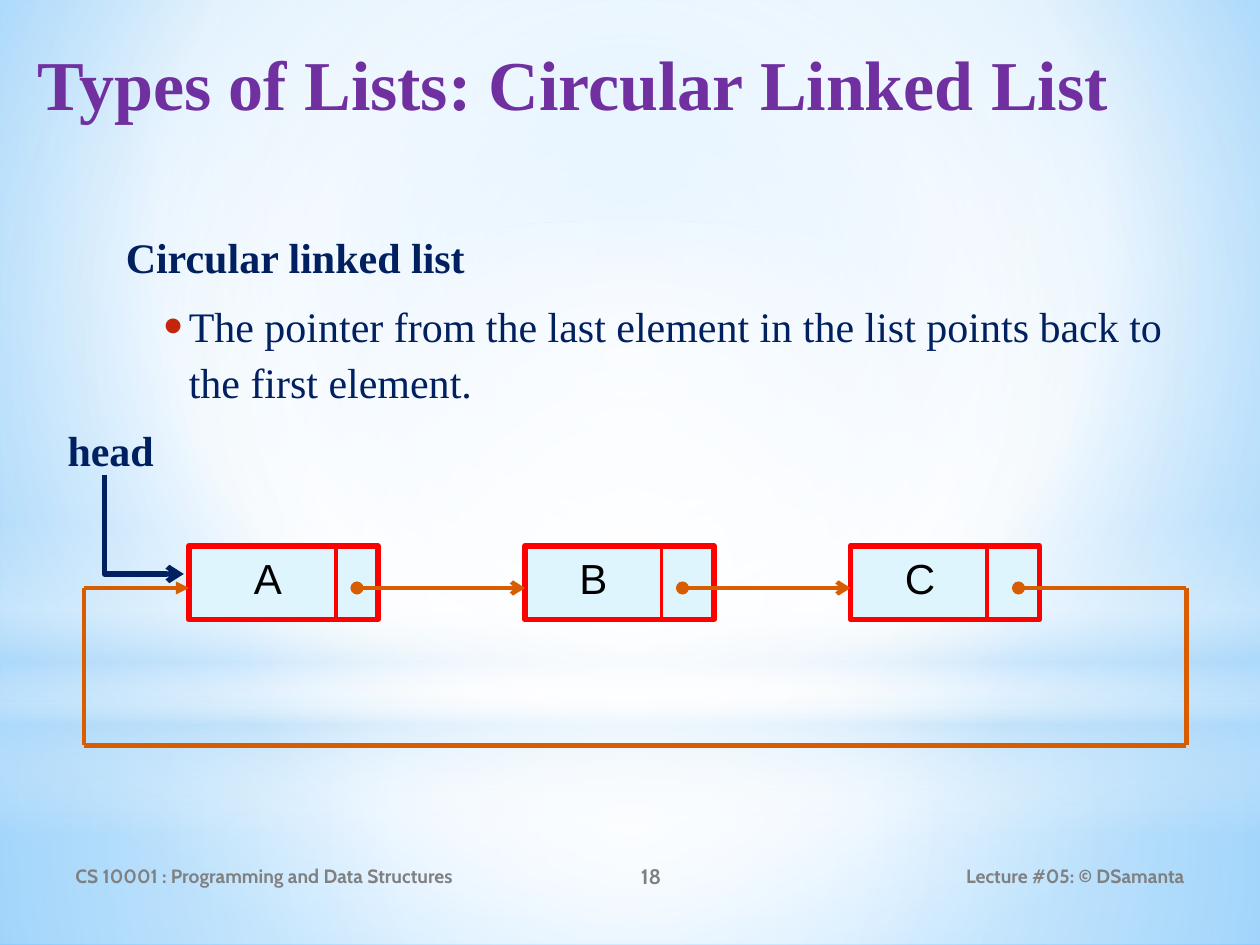
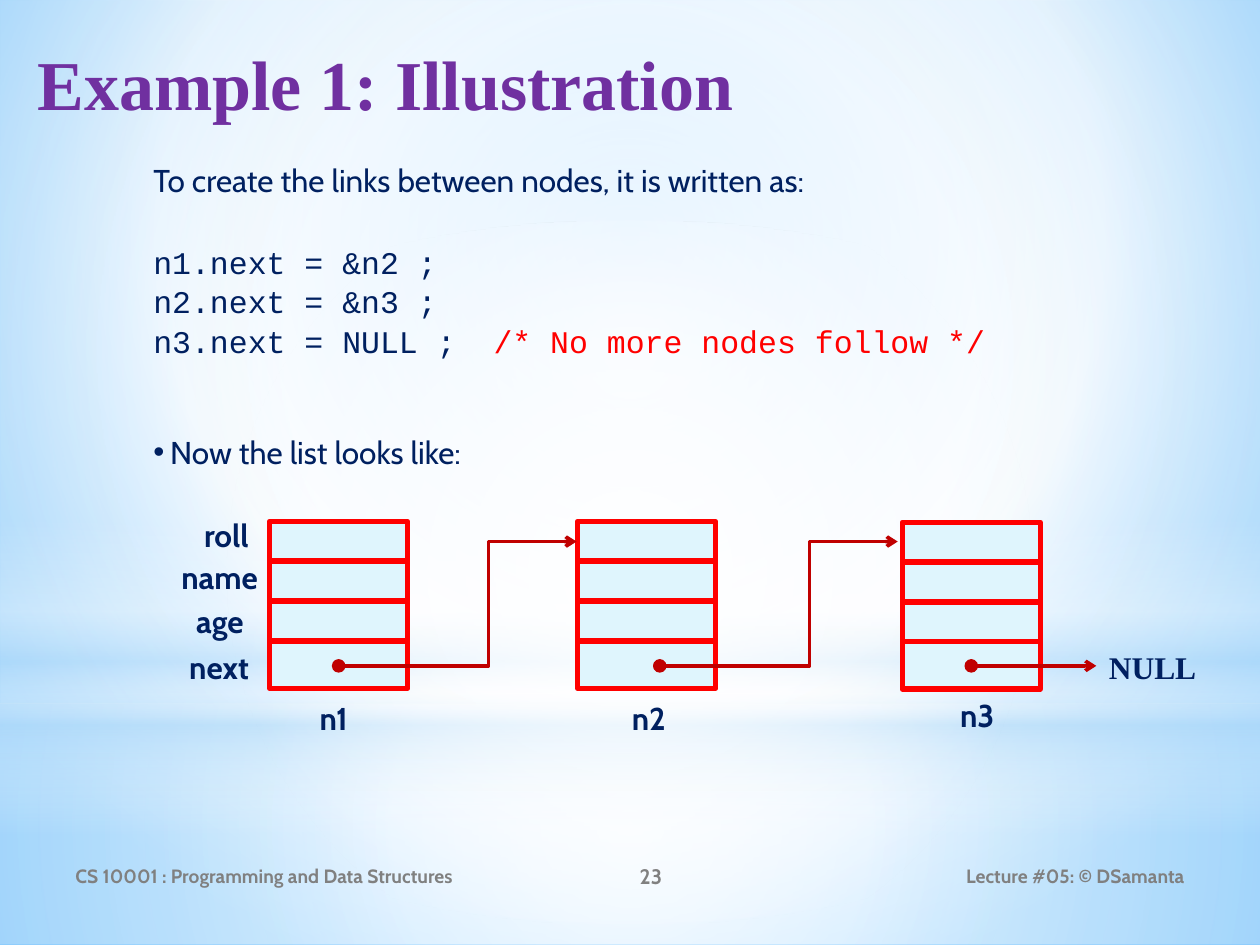
from dataclasses import dataclass
from itertools import pairwise

from lxml.etree import SubElement
from pptx import Presentation
from pptx.dml.color import RGBColor
from pptx.enum.shapes import MSO_CONNECTOR, MSO_SHAPE
from pptx.enum.text import MSO_ANCHOR, MSO_AUTO_SIZE, PP_ALIGN
from pptx.oxml import parse_xml
from pptx.oxml.ns import nsdecls, qn
from pptx.util import Pt


@dataclass(frozen=True)
class Type:
    name: str
    size: float
    color: str
    bold: bool = False


@dataclass(frozen=True)
class Theme:
    navy: str = "002060"
    red: str = "FF0000"
    crimson: str = "C00000"
    orange: str = "D85C00"
    bullet: str = "C3260C"
    cell: str = "DFF5FD"
    white: str = "FFFFFF"
    sky: str = "B4DCFA"
    title: Type = Type("Times New Roman", 40, "7030A0", True)
    heading: Type = Type("Times New Roman", 24, navy, True)
    point: Type = Type("Times New Roman", 24, navy)
    letter: Type = Type("Arial", 24, "000000")
    body: Type = Type("Cabin", 18, navy)
    label: Type = Type("Cabin", 18, navy, True)
    code: Type = Type("Courier New", 18, navy)
    comment: Type = Type("Courier New", 18, red)
    null: Type = Type("Times New Roman", 18, navy, True)
    footer: Type = Type("Cabin", 11, "808080", True)
    number: Type = Type("Cabin", 12, "808080", True)


def apply(target, values):
    for name, value in values.items():
        setattr(target, name, value)


def points(*values):
    return [Pt(value) for value in values]


def paint_gradient(parent, stops, direction):
    """Swap the solid fill of parent for a gradient of (position, colour, opacity) stops."""
    marks = "".join(
        f'<a:gs pos="{pos * 1000}"><a:srgbClr val="{color}">'
        f'<a:alpha val="{opacity * 1000}"/></a:srgbClr></a:gs>'
        for pos, color, opacity in stops)
    gradient = parse_xml(f'<a:gradFill {nsdecls("a")} rotWithShape="1">'
                         f'<a:gsLst>{marks}</a:gsLst>{direction}</a:gradFill>')
    parent.replace(parent.find(qn("a:solidFill")), gradient)


def circle(left, top, right, bottom):
    return (f'<a:path path="circle"><a:fillToRect l="{left * 1000}" t="{top * 1000}" '
            f'r="{right * 1000}" b="{bottom * 1000}"/></a:path>')


class Deck:
    def __init__(self, theme):
        self.theme = theme
        self.prs = Presentation()
        apply(self.prs, {"slide_width": Pt(720), "slide_height": Pt(540)})
        self.layout = self.prs.slide_layouts[5]
        self.slide = None

    def backdrop(self):
        """Move the light bands of the current slide to the layout, behind everything."""
        white, sky = self.theme.white, self.theme.sky
        self.layout.background.fill.solid()
        paint_gradient(self.layout.element.find(".//" + qn("p:bgPr")),
                       [(0, "9ED5FF", 100), (60, white, 100), (100, "5BB9FF", 100)],
                       circle(20, 10, 20, 60))
        center = circle(50, 50, 50, 50)
        bands = [
            (MSO_SHAPE.RECTANGLE, 402, 138, center,
             [(0, white, 91), (37, white, 76), (100, sky, 79)]),
            (MSO_SHAPE.RECTANGLE, 0, 402, center,
             [(0, white, 89), (48, white, 62), (100, sky, 79)]),
            (MSO_SHAPE.RECTANGLE, 297, 180, '<a:lin ang="5400000" scaled="0"/>',
             [(0, white, 0), (29, white, 30), (45, sky, 40),
              (55, white, 26), (65, sky, 60), (100, white, 0)]),
            (MSO_SHAPE.OVAL, 126, 402, center, [(0, white, 100), (56, white, 0)]),
        ]
        for depth, (kind, top, height, direction, stops) in enumerate(bands, 2):
            band = self.shape(kind, 0, top, 720, height, white)
            paint_gradient(band.element.spPr, stops, direction)
            self.layout.shapes.element.insert(depth, band.element)

    def new_slide(self, title, number):
        first = self.slide is None
        self.slide = self.prs.slides.add_slide(self.layout)
        if first:
            self.backdrop()
        heading = self.slide.shapes.title
        apply(heading, dict(zip(("left", "top", "width", "height"),
                                points(14.4, 15, 686, 79))))
        apply(heading.text_frame, {"vertical_anchor": MSO_ANCHOR.TOP, "word_wrap": True,
                                   "auto_size": MSO_AUTO_SIZE.NONE})
        self.paragraph(heading.text_frame.paragraphs[0], [(title, self.theme.title)],
                       alignment=PP_ALIGN.LEFT, line_spacing=1.1)
        # Footer
        for left, width, text, style, align in (
                (36, 264, "CS 10001 : Programming and Data Structures",
                 self.theme.footer, PP_ALIGN.LEFT),
                (300, 144, number, self.theme.number, PP_ALIGN.CENTER),
                (486, 198, "Lecture #05: © DSamanta", self.theme.footer, PP_ALIGN.RIGHT)):
            self.text(left, 486, width, 28.8, [([(text, style)], {"alignment": align})],
                      MSO_ANCHOR.MIDDLE)

    def paragraph(self, paragraph, runs, **layout):
        apply(paragraph, layout)
        for text, style in runs:
            run = paragraph.add_run()
            run.text = text
            apply(run.font, {"name": style.name, "size": Pt(style.size), "bold": style.bold})
            run.font.color.rgb = RGBColor.from_string(style.color)

    def text(self, left, top, width, height, paragraphs, anchor=MSO_ANCHOR.TOP):
        frame = self.slide.shapes.add_textbox(*points(left, top, width, height)).text_frame
        apply(frame, {"word_wrap": True, "vertical_anchor": anchor})
        for index, (runs, layout) in enumerate(paragraphs):
            paragraph = frame.add_paragraph() if index else frame.paragraphs[0]
            self.paragraph(paragraph, runs, **layout)
        return frame

    def label(self, left, top, width, height, text, style):
        self.text(left, top, width, height, [([(text, style)], {})])

    def indent(self, paragraph, left, hanging=0, bullet_color=None, bullet_size=100):
        props = paragraph._p.get_or_add_pPr()
        props.set("marL", str(Pt(left)))
        props.set("indent", str(-Pt(hanging)))
        if bullet_color:
            color = SubElement(props, qn("a:buClr"))
            SubElement(color, qn("a:srgbClr"), val=bullet_color)
            SubElement(props, qn("a:buSzPct"), val=str(bullet_size * 1000))
            SubElement(props, qn("a:buFont"), typeface="Arial")
            SubElement(props, qn("a:buChar"), char="•")

    def shape(self, kind, left, top, width, height, fill, line=None, weight=1.0):
        shape = self.slide.shapes.add_shape(kind, *points(left, top, width, height))
        shape.shadow.inherit = False
        shape.fill.solid()
        shape.fill.fore_color.rgb = RGBColor.from_string(fill)
        if line:
            shape.line.color.rgb = RGBColor.from_string(line)
            shape.line.width = Pt(weight)
        else:
            shape.line.fill.background()
        return shape

    def cell(self, left, top, width, height, weight):
        self.shape(MSO_SHAPE.RECTANGLE, left, top, width, height,
                   self.theme.cell, self.theme.red, weight)

    def line(self, start, end, color, weight, head=None, tail=None,
             kind=MSO_CONNECTOR.STRAIGHT):
        line = self.slide.shapes.add_connector(kind, *points(*start, *end))
        line.line.color.rgb = RGBColor.from_string(color)
        line.line.width = Pt(weight)
        props = line.element.spPr
        for tag, tip in (("a:headEnd", head), ("a:tailEnd", tail)):
            if tip:
                SubElement(props.find(qn("a:ln")), qn(tag), type=tip)
        SubElement(props, qn("a:effectLst"))
        return props

    def step(self, start, end, color, weight, bend):
        """Arrow across, up or down at the bend (share of its width), and across."""
        props = self.line(start, end, color, weight, tail="arrow", kind=MSO_CONNECTOR.ELBOW)
        guides = props.find(qn("a:prstGeom")).get_or_add_avLst()
        SubElement(guides, qn("a:gd"), name="adj1", fmla=f"val {round(bend * 100000)}")

    def corner(self, start, end, color, weight):
        """Arrow straight down and then right: a one-bend connector on its side."""
        (x1, y1), (x2, y2) = start, end
        mid_x, mid_y = (x1 + x2) / 2, (y1 + y2) / 2
        half_w, half_h = (y2 - y1) / 2, (x2 - x1) / 2
        props = self.line((mid_x - half_w, mid_y - half_h), (mid_x + half_w, mid_y + half_h),
                          color, weight, tail="arrow", kind=MSO_CONNECTOR.ELBOW)
        props.find(qn("a:prstGeom")).set("prst", "bentConnector2")
        frame = props.find(qn("a:xfrm"))
        frame.set("rot", "16200000")
        frame.set("flipH", "1")


theme = Theme()
deck = Deck(theme)

# Slide 1: circular linked list
deck.new_slide("Types of Lists: Circular Linked List", "18")
spacing = {"space_before": Pt(4.8), "space_after": Pt(3), "line_spacing": 1.1}
definition = deck.text(36, 126, 648, 90, [
    ([("Circular linked list", theme.heading)], spacing),
    ([("The pointer from the last element in the list points back to the first element.",
       theme.point)], spacing)])
deck.indent(definition.paragraphs[0], 28.8)
deck.indent(definition.paragraphs[1], 64.8, 14.4, theme.bullet, 130)

# Nodes: letter, left edge, divider, start of the pointer
nodes = [("A", 108, 192, 204), ("B", 300, 378, 390), ("C", 486, 564, 582)]
node_top, node_height, link_y = 312, 42, 336
for letter, left, divider, _ in nodes:
    deck.cell(left, node_top, 108, node_height, 3.25)
    deck.line((divider, node_top), (divider, node_top + node_height), theme.red, 2.25)
    deck.label(divider - 54, node_top, 48, 36, letter, theme.letter)
for node, following in pairwise(nodes):
    deck.line((node[3], link_y), (following[1], link_y), theme.orange, 2.5, "oval", "arrow")

# Way back from the last node to the first
way_back = [(nodes[-1][3], link_y), (678, link_y), (678, 426),
            (48, 426), (48, link_y), (nodes[0][1], link_y)]
legs = list(pairwise(way_back))
for leg in legs:
    deck.line(*leg, theme.orange, 2.5,
              head="oval" if leg == legs[0] else None,
              tail="triangle" if leg == legs[-1] else None)

# Head pointer
deck.corner((59.5, 271.5), (105, 328), theme.navy, 3)
deck.label(31.5, 239, 68, 36, "head", theme.heading)

# Slide 2: linking three records
deck.new_slide("Example 1: Illustration", "23")
code_gap = {"space_before": Pt(1)}
steps = deck.text(80.5, 88.5, 574, 181, [
    ([("To create the links between nodes, it is written as:", theme.body)], {}),
    ([("n1.next = &n2 ;", theme.code)], {"space_before": Pt(25)}),
    ([("n2.next = &n3 ;", theme.code)], code_gap),
    ([("n3.next = NULL ;  ", theme.code),
      ("/* No more nodes follow */", theme.comment)], code_gap),
    ([("Now the list looks like:", theme.body)], {"space_before": Pt(42)})])
deck.indent(steps.paragraphs[4], 9.6, 9.6, theme.navy)

# Records: name, left edge, top, pointer x, name position
records = [("n1", 154, 298, 193.5, (175.5, 396)),
           ("n2", 330, 298, 377, (354, 396)),
           ("n3", 515.5, 298.5, 555, (541.5, 394))]
row_pitch = 22.75
for name, left, top, _, name_at in records:
    for row, height in enumerate((22.5, 22.5, 22.5, 27)):
        deck.cell(left, top + row * row_pitch, 79, height, 3)
    deck.label(*name_at, 42.5, 29, name, theme.label)

# Field names
for field, left, top, width in (("roll", 109.5, 291.5, 45.5), ("name", 96.5, 315.5, 70),
                                ("age", 105, 340.5, 45.5), ("next", 101, 367, 54)):
    deck.label(left, top, width, 29, field, theme.label)

# Pointers
pointer_y, target_y, dot = 380.5, 309.5, 6.5
for _, _, _, x, _ in records:
    deck.shape(MSO_SHAPE.OVAL, x - dot / 2, pointer_y - dot / 2, dot, dot,
               theme.crimson, theme.crimson, 1.25)
for _, _, _, x, _ in records[:-1]:
    deck.step((x, pointer_y), (x + 136, target_y), theme.crimson, 2, 0.63)
deck.line((records[-1][3], pointer_y), (626.5, pointer_y), theme.crimson, 2, tail="arrow")
deck.label(626.5, 366.5, 68, 29, "NULL", theme.null)

deck.prs.save("out.pptx")
